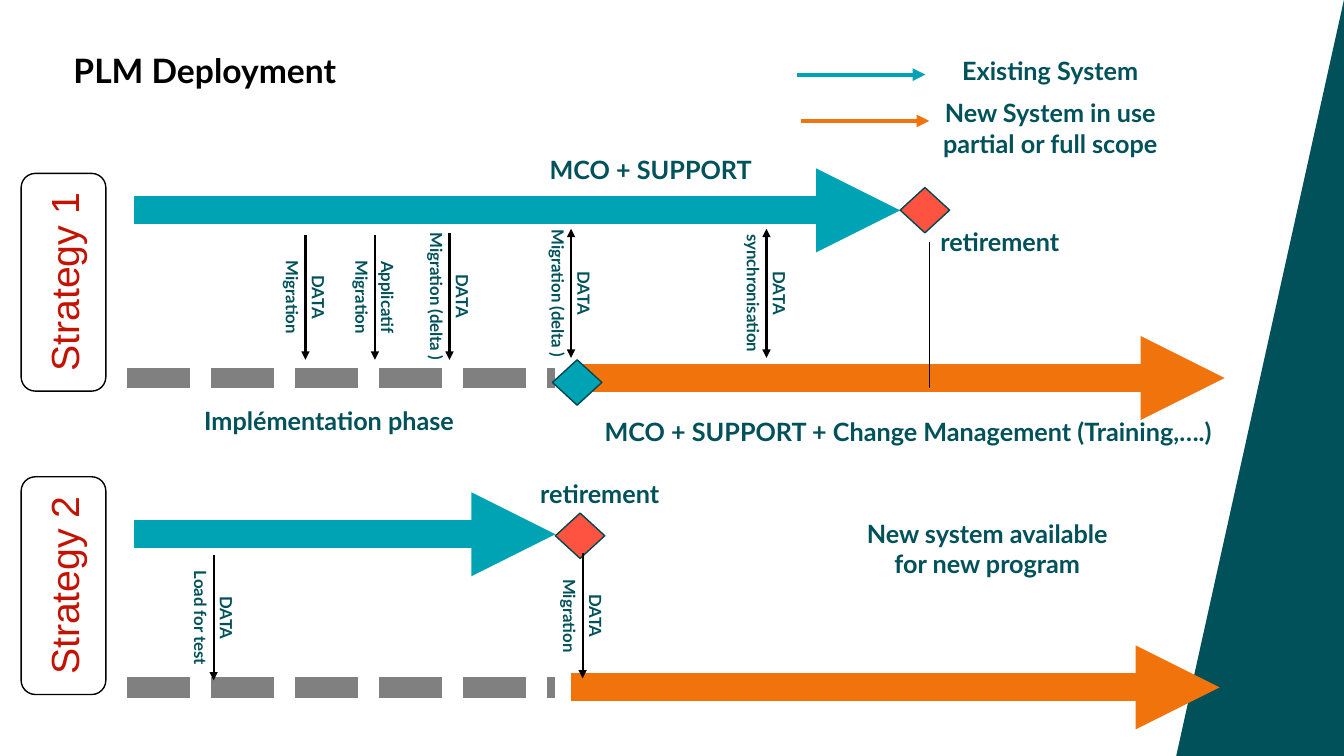
"""Build the PLM deployment slide comparing two migration strategies."""
from lxml.etree import SubElement
from pptx import Presentation
from pptx.dml.color import RGBColor
from pptx.enum.dml import MSO_LINE
from pptx.enum.shapes import MSO_CONNECTOR, MSO_SHAPE
from pptx.enum.text import MSO_ANCHOR, PP_ALIGN
from pptx.oxml.ns import qn
from pptx.util import Pt

COLORS = {"dark": "00515A", "teal": "00A3B4", "orange": "F1730B", "grey": "808080",
          "coral": "FF5342", "edge": "00474F", "red": "C31200", "black": "000000"}
SLIDE_SIZE = (960, 540)
PANEL = [(840.2, 540), (960, 0), (960, 540)]
TITLE = "PLM Deployment"

# color, width, start x, end x, y
FLOWS = [
    ("teal", 20, 95.8, 643, 150.3),
    ("orange", 20, 411.8, 874.8, 270),
    ("teal", 20, 95.8, 396.7, 381.6),
    ("orange", 20, 408.2, 871.2, 491),
    ("teal", 3, 569.5, 661, 53.3),
    ("orange", 3, 572.4, 663.8, 86.4),
]
PHASE_START, PHASE_END = 90.7, 396.7
PHASES = [270, 491]
# color, left, top
MILESTONES = [("teal", 394.6, 257), ("coral", 643, 133.9), ("coral", 396.7, 366.5)]
MILESTONE_SIZE = (35.3, 32.4)
# text, vertical middle
STRATEGIES = [("Strategy 1", 201.6), ("Strategy 2", 418.3)]
STRATEGY_SIZE, STRATEGY_MIDDLE = (155.5, 60.5), 45.4
# text, horizontal middle, top, width
LABELS = [
    ("Existing System", 750.2, 39.6, 144),
    ("New System in use\vpartial or full scope", 750.2, 69.8, 173.5),
    ("retirement", 714.2, 162, 102.2),
    ("MCO + SUPPORT", 464.8, 110.2, 166.3),
    ("MCO + SUPPORT + Change Management (Training,….)", 648.7, 297.4, 482.4),
    ("Implémentation phase", 235.1, 289.4, 198),
    ("retirement", 428.4, 342, 102.2),
    ("New system available\vfor new program", 705.2, 370.1, 196.6),
]
# lines, x, start y, end y, label length, both ways
MIGRATIONS = [
    (("DATA", "Migration"), 218.2, 167.8, 257, 71.3, False),
    (("Applicatif", "Migration"), 267.8, 167.8, 257, 71.3, False),
    (("DATA", "Migration (delta )"), 321.1, 166.3, 257, 111.6, False),
    (("DATA", "Migration (delta )"), 407.9, 163.4, 255.6, 111.6, True),
    (("DATA", "synchronisation"), 547.5, 163.4, 255.6, 108, True),
    (("DATA", "Migration"), 416.2, 395.3, 484.6, 71.3, False),
    (("DATA", "Load for test"), 152.6, 396.7, 486, 87.1, False),
]
RETIREMENT_MARK = (663.8, 172.8, 663.8, 277.2)


def rgb(name):
    return RGBColor.from_string(COLORS[name])


def add_line(page, color, width, ends, heads=(), dashed=False):
    line = page.shapes.add_connector(MSO_CONNECTOR.STRAIGHT, *map(Pt, ends))
    line.line.color.rgb = rgb(color)
    line.line.width = Pt(width)
    if dashed:
        line.line.dash_style = MSO_LINE.SQUARE_DOT
    properties = line._element.spPr
    for head in heads:
        SubElement(properties.find(qn("a:ln")), qn(head)).set("type", "triangle")
    SubElement(properties, qn("a:effectLst"))


def add_shape(page, kind, left, top, size, fill, edge):
    shape = page.shapes.add_shape(kind, Pt(left), Pt(top), *map(Pt, size))
    shape.shadow.inherit = False
    if fill:
        shape.fill.solid()
        shape.fill.fore_color.rgb = rgb(fill)
    else:
        shape.fill.background()
    shape.line.color.rgb = rgb(edge)
    shape.line.width = Pt(1)
    return shape


def write(shape, lines, size, color, font="Lato", bold=True, align=PP_ALIGN.CENTER):
    frame = shape.text_frame
    for index, text in enumerate(lines):
        para = frame.add_paragraph() if index else frame.paragraphs[0]
        para.text = text
        para.alignment = align
        if index:
            para.space_before = Pt(4.1)
        para.font.size = Pt(size)
        para.font.name = font
        para.font.bold = bold
        para.font.color.rgb = rgb(color)


def add_label(page, lines, size, middle, top, width, height):
    box = page.shapes.add_textbox(Pt(middle - width / 2), Pt(top), Pt(width), Pt(height))
    box.text_frame.word_wrap = False
    box.text_frame.margin_top = box.text_frame.margin_bottom = 0
    write(box, lines, size, "dark")
    return box


def main():
    deck = Presentation()
    deck.slide_width, deck.slide_height = map(Pt, SLIDE_SIZE)
    page = deck.slides.add_slide(deck.slide_layouts[6])

    corners = [(Pt(x), Pt(y)) for x, y in PANEL]
    builder = page.shapes.build_freeform(*corners[0], scale=1.0)
    builder.add_line_segments(corners[1:], close=True)
    panel = builder.convert_to_shape()
    panel.shadow.inherit = False
    panel.fill.solid()
    panel.fill.fore_color.rgb = rgb("dark")
    panel.line.fill.background()

    title = page.shapes.add_textbox(Pt(45.4), Pt(32.4), Pt(809.3), Pt(56.2))
    title.text_frame.word_wrap = True
    write(title, [TITLE], 24, "black", align=PP_ALIGN.LEFT)

    for color, width, start, end, y in FLOWS:
        add_line(page, color, width, (start, y, end, y), ["a:tailEnd"])
    for y in PHASES:
        add_line(page, "grey", 15, (PHASE_START, y, PHASE_END, y), dashed=True)
    for color, left, top in MILESTONES:
        add_shape(page, MSO_SHAPE.FLOWCHART_DECISION, left, top, MILESTONE_SIZE, color, "edge")

    length, depth = STRATEGY_SIZE
    for text, middle in STRATEGIES:
        card = add_shape(page, MSO_SHAPE.ROUNDED_RECTANGLE, STRATEGY_MIDDLE - length / 2,
                         middle - depth / 2, STRATEGY_SIZE, None, "black")
        card.rotation = 270
        card.text_frame.vertical_anchor = MSO_ANCHOR.MIDDLE
        write(card, [text], 28, "red", "Arial", False)

    for text, middle, top, width in LABELS:
        add_label(page, [text], 18, middle, top, width, 21.6 * (1 + text.count("\v")))

    for lines, x, start, end, width, both_ways in MIGRATIONS:
        heads = ["a:headEnd", "a:tailEnd"] if both_ways else ["a:tailEnd"]
        add_line(page, "black", 2 if both_ways else 1.5, (x, start, x, end), heads)
        height = 33
        label = add_label(page, lines, 12, x, (start + end - height) / 2, width, height)
        label.rotation = 90
    add_line(page, "black", 0.5, RETIREMENT_MARK)

    deck.save("out.pptx")


if __name__ == "__main__":
    main()
